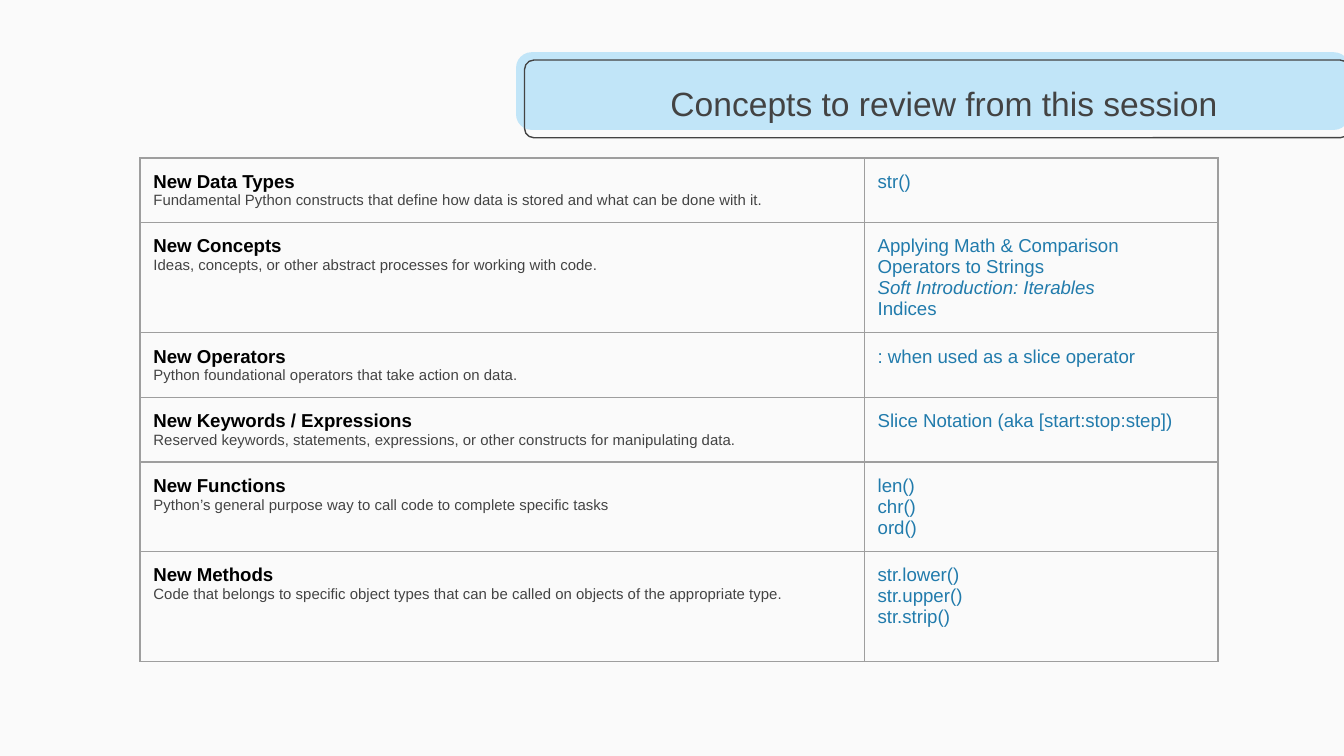
from dataclasses import dataclass

from pptx import Presentation
from pptx.dml.color import RGBColor
from pptx.enum.shapes import MSO_SHAPE as Preset
from pptx.enum.text import MSO_ANCHOR as Anchor, PP_ALIGN as Align
from pptx.oxml import parse_xml
from pptx.oxml.ns import nsdecls
from pptx.util import Pt


@dataclass(frozen=True)
class Theme:
    font: str = "Arial"
    paper: str = "FAFAFA"
    panel: str = "C1E5F8"
    ink: str = "434343"
    heading: str = "000000"
    answer: str = "217BAC"
    grid: str = "9E9E9E"
    title_size: float = 18
    body_size: float = 10
    note_size: float = 8
    line: float = 0.75
    inset: float = 7.2


THEME = Theme()
TITLE = "Concepts to review from this session"
COLUMN_WIDTHS = (388, 189.5)
ITALIC_ANSWER = "Soft Introduction: Iterables"

# Row height, heading, explanation, answers
CONCEPTS = [
    (34.6, "New Data Types",
     "Fundamental Python constructs that define how data is stored and what can be done with it.",
     ["str()"]),
    (58.9, "New Concepts",
     "Ideas, concepts, or other abstract processes for working with code.",
     ["Applying Math & Comparison Operators to Strings", ITALIC_ANSWER, "Indices"]),
    (34.6, "New Operators",
     "Python foundational operators that take action on data.",
     [": when used as a slice operator"]),
    (34.6, "New Keywords / Expressions",
     "Reserved keywords, statements, expressions, or other constructs for manipulating data.",
     ["Slice Notation (aka [start:stop:step])"]),
    (48, "New Functions",
     "Python’s general purpose way to call code to complete specific tasks",
     ["len()", "chr()", "ord()"]),
    (58.9, "New Methods",
     "Code that belongs to specific object types that can be called on objects of the appropriate type.",
     ["str.lower()", "str.upper()", "str.strip()"]),
]


def color(name):
    return RGBColor.from_string(name)


def style(paragraph, size, ink, bold=False, italic=False):
    font = paragraph.font
    font.name, font.size = THEME.font, Pt(size)
    font.bold, font.italic = bold, italic
    font.color.rgb = color(ink)


def set_insets(holder):
    """Give a cell or text frame the same margin on all four sides."""
    holder.margin_left = holder.margin_right = Pt(THEME.inset)
    holder.margin_top = holder.margin_bottom = Pt(THEME.inset)


def add_rounded_box(slide, left, top, width, height, rounding, fill=None, line=None):
    box = slide.shapes.add_shape(
        Preset.ROUNDED_RECTANGLE, Pt(left), Pt(top), Pt(width), Pt(height))
    box.adjustments[0] = rounding
    box.shadow.inherit = False
    if fill:
        box.fill.solid()
        box.fill.fore_color.rgb = color(fill)
    else:
        box.fill.background()
    if line:
        box.line.color.rgb = color(line)
        box.line.width = Pt(THEME.line)
    else:
        box.line.fill.background()


def set_title(slide):
    title = slide.shapes.title
    title.left, title.top, title.width, title.height = Pt(336), Pt(36), Pt(323.5), Pt(38)
    # The title stands in front of the banner
    title.element.getparent().append(title.element)
    frame = title.text_frame
    frame.text = TITLE
    frame.word_wrap = True
    frame.vertical_anchor = Anchor.MIDDLE
    set_insets(frame)
    paragraph = frame.paragraphs[0]
    paragraph.alignment = Align.RIGHT
    style(paragraph, THEME.title_size, THEME.ink)


def add_borders(cell):
    properties = cell._tc.get_or_add_tcPr()
    for position, side in enumerate(("lnL", "lnR", "lnT", "lnB")):
        properties.insert(position, parse_xml(
            f'<a:{side} {nsdecls("a")} w="{Pt(THEME.line)}"><a:solidFill>'
            f'<a:srgbClr val="{THEME.grid}"/></a:solidFill></a:{side}>'))


def fill_cell(cell, lines):
    cell.text = "\n".join(lines)
    cell.fill.background()
    cell.vertical_anchor = Anchor.TOP
    set_insets(cell)
    add_borders(cell)
    return cell.text_frame.paragraphs


def add_concept_table(slide):
    heights = [concept[0] for concept in CONCEPTS]
    table = slide.shapes.add_table(
        len(CONCEPTS), len(COLUMN_WIDTHS), Pt(75), Pt(84.6),
        Pt(sum(COLUMN_WIDTHS)), Pt(sum(heights))).table
    table.first_row = table.horz_banding = False
    for column, width in zip(table.columns, COLUMN_WIDTHS):
        column.width = Pt(width)
    for row, (height, heading, explanation, answers) in zip(table.rows, CONCEPTS):
        row.height = Pt(height)
        topic, answer_cell = row.cells
        head, note = fill_cell(topic, [heading, explanation])
        style(head, THEME.body_size, THEME.heading, bold=True)
        style(note, THEME.note_size, THEME.ink)
        for paragraph in fill_cell(answer_cell, answers):
            style(paragraph, THEME.body_size, THEME.answer,
                  italic=paragraph.text == ITALIC_ANSWER)


def main():
    deck = Presentation()
    deck.slide_width, deck.slide_height = Pt(720), Pt(405)
    slide = deck.slides.add_slide(deck.slide_layouts.get_by_name("Title Only"))
    slide.background.fill.solid()
    slide.background.fill.fore_color.rgb = color(THEME.paper)
    add_rounded_box(slide, 276.5, 28, 446.5, 41.6, 0.2, fill=THEME.panel)
    add_rounded_box(slide, 281, 32.2, 442, 41.6, 0.12, line=THEME.ink)
    set_title(slide)
    add_concept_table(slide)
    deck.save("out.pptx")


if __name__ == "__main__":
    main()
